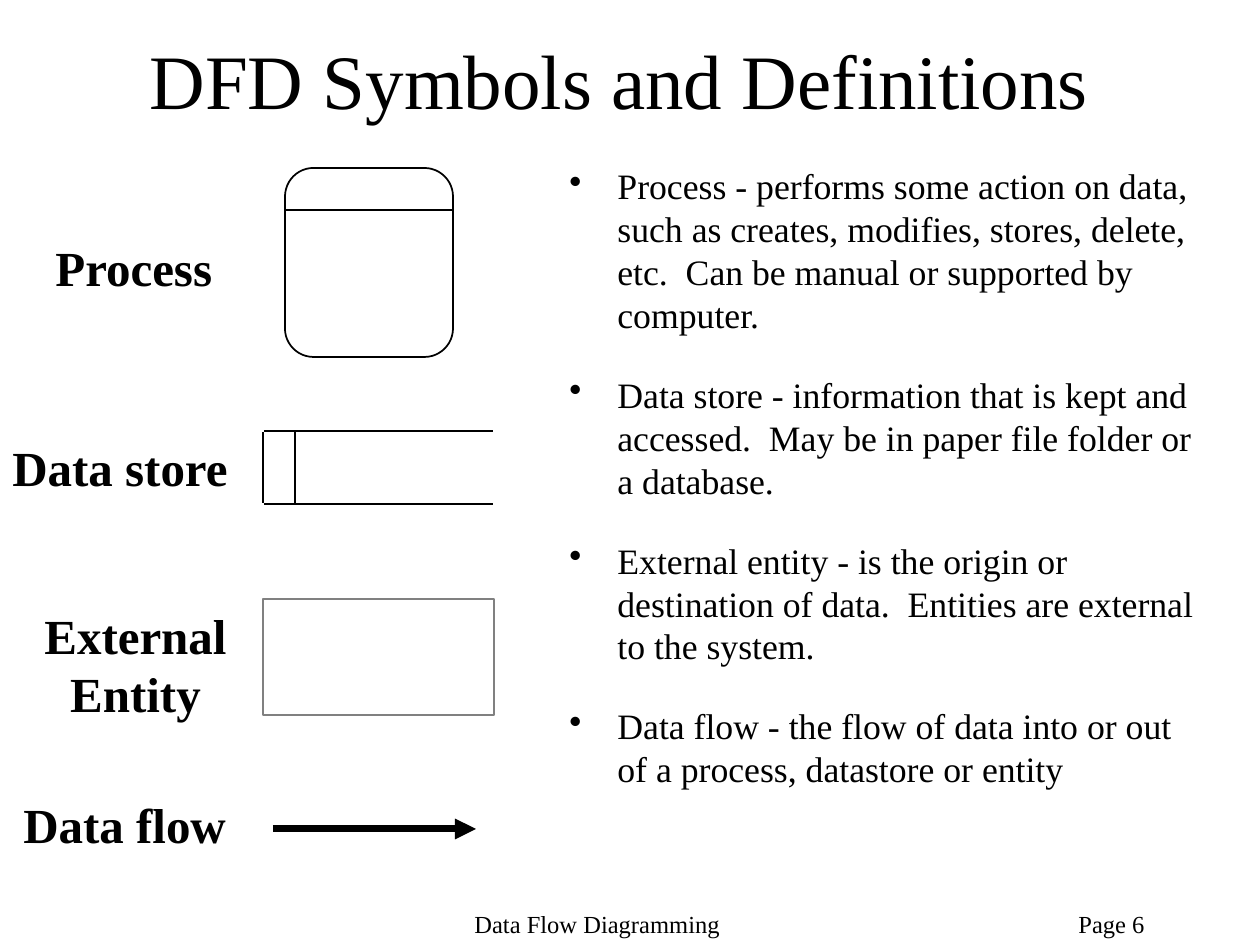
from dataclasses import dataclass

from lxml.etree import SubElement
from pptx import Presentation
from pptx.dml.color import RGBColor
from pptx.enum.shapes import MSO_CONNECTOR, MSO_SHAPE
from pptx.enum.text import MSO_ANCHOR, PP_ALIGN
from pptx.oxml.ns import qn
from pptx.util import Emu, Pt


@dataclass(frozen=True)
class Theme:
    """Colours, font and type sizes of the slide."""
    ink: str = "000000"
    grey: str = "808080"
    font: str = "Times New Roman"
    title: float = 44
    label: float = 28
    body: float = 20.4
    foot: float = 14


THEME = Theme()
SCALE = 914400 / 126
TERMS = [
    "Process - performs some action on data, such as creates, modifies, stores, delete, etc.  "
    "Can be manual or supported by computer.",
    "Data store - information that is kept and accessed.  May be in paper file folder or a database.",
    "External entity - is the origin or destination of data.  Entities are external to the system.",
    "Data flow - the flow of data into or out of a process, datastore or entity",
]


def px(*nums):
    """Turn px lengths into EMU."""
    return [Emu(round(num * SCALE)) for num in nums]


def write(slide, box, lines, size, bold=False, align=PP_ALIGN.LEFT,
          anchor=MSO_ANCHOR.TOP, wrap=False, bullet=False, lead=0, gap=0):
    """Write lines as paragraphs in a text box."""
    frame = slide.shapes.add_textbox(*px(*box)).text_frame
    frame.word_wrap = wrap
    frame.vertical_anchor = anchor
    for num, line in enumerate(lines):
        para = frame.add_paragraph() if num else frame.paragraphs[0]
        para.alignment = align
        para.space_before = Pt(gap if num else lead)
        run = para.add_run()
        run.text = line
        run.font.name = THEME.font
        run.font.size = Pt(size)
        run.font.bold = bold
        run.font.color.rgb = RGBColor.from_string(THEME.ink)
        if bullet:
            props = para._p.get_or_add_pPr()
            indent = px(48)[0]
            props.set("marL", str(indent))
            props.set("indent", str(-indent))
            SubElement(props, qn("a:buChar"), char="•")


def label(slide, box, lines, **form):
    """Write the bold name of a symbol."""
    write(slide, box, lines, THEME.label, bold=True, **form)


def line(slide, start, end, width=1, arrow=False):
    """Draw a straight line, with an arrowhead if asked."""
    link = slide.shapes.add_connector(MSO_CONNECTOR.STRAIGHT, *px(*start, *end))
    link.line.color.rgb = RGBColor.from_string(THEME.ink)
    link.line.width = Pt(width)
    if arrow:
        SubElement(link.line._get_or_add_ln(), qn("a:tailEnd"), type="triangle")
    SubElement(link._element.spPr, qn("a:effectLst"))


def frame(slide, kind, box, colour):
    """Draw an unfilled outline shape."""
    shape = slide.shapes.add_shape(kind, *px(*box))
    shape.shadow.inherit = False
    shape.fill.background()
    shape.line.color.rgb = RGBColor.from_string(colour)
    shape.line.width = Pt(1)
    return shape


def process(slide, x, y, w, h):
    """Place the process name and its rounded symbol."""
    label(slide, (x + 43, y + 63, 183, 71), ["Process"])
    left, wide = x + 285, w - 327
    card = frame(slide, MSO_SHAPE.ROUNDED_RECTANGLE, (left, y, wide, h), THEME.ink)
    card.adjustments[0] = 0.17
    line(slide, (left, y + 42), (left + wide, y + 42))


def store(slide, x, y, w, h):
    """Place the data store name and its open-ended symbol."""
    label(slide, (x, y, 241, 71), ["Data store"])
    for level in (y, y + h):
        line(slide, (x + 264, level), (x + w - 2, level))
    for side in (x + 263, x + 295):
        line(slide, (side, y + 1), (side, y + h - 1))


def entity(slide, x, y, w, h):
    """Place the external entity name and its rectangle."""
    label(slide, (x + 32, y, 207, h), ["External", "Entity"], align=PP_ALIGN.CENTER)
    frame(slide, MSO_SHAPE.RECTANGLE, (x + 263, y, w - 264, h - 14), THEME.grey)


def flow(slide, x, y, w, h):
    """Place the data flow name and its arrow."""
    label(slide, (x + 11, y, 228, h), ["Data flow"])
    line(slide, (x + 273, y + 41), (x + w - 19, y + 41), width=4, arrow=True)


def head(slide, *box):
    """Place the title."""
    write(slide, box, ["DFD Symbols and Definitions"], THEME.title,
          align=PP_ALIGN.CENTER, anchor=MSO_ANCHOR.MIDDLE, wrap=True)


def terms(slide, *box):
    """Place the bulleted definitions."""
    write(slide, box, TERMS, THEME.body, wrap=True, bullet=True, lead=6, gap=21.2)


def foot(slide, x, y, w, h):
    """Place the footer texts."""
    write(slide, (x + 462, y, 271, h), ["Data Flow Diagramming"], THEME.foot)
    write(slide, (x + w - 194, y, 181, h), ["Page 6"], THEME.foot)


def main():
    """Build and save the slide."""
    deck = Presentation()
    deck.slide_width, deck.slide_height = px(1260, 945)
    slide = deck.slides.add_slide(deck.slide_layouts[6])
    head(slide, 84, 0, 1071, 158)
    process(slide, 0, 168, 495, 189)
    store(slide, 0, 431, 495, 73)
    entity(slide, 0, 599, 495, 130)
    flow(slide, 0, 788, 495, 71)
    terms(slide, 557, 158, 662, 651)
    foot(slide, 0, 903, 1260, 43)
    deck.save("out.pptx")


if __name__ == "__main__":
    main()
